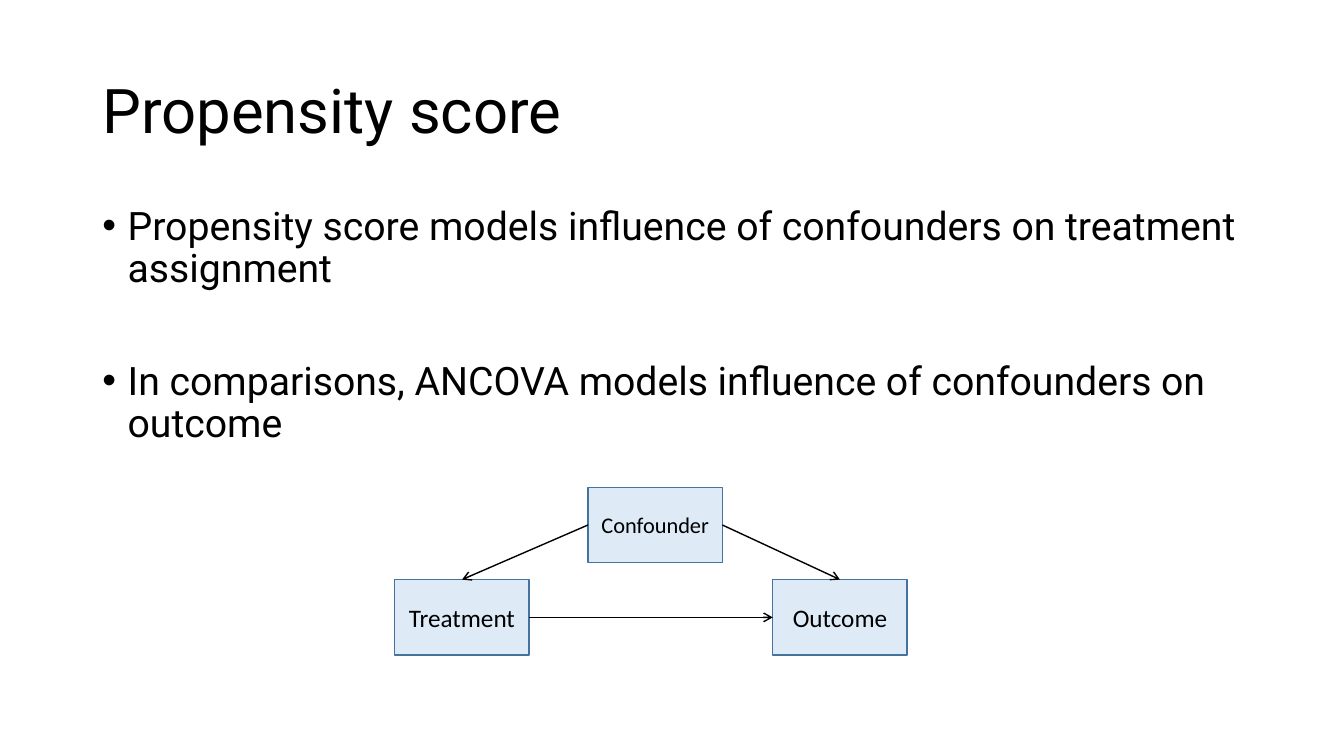
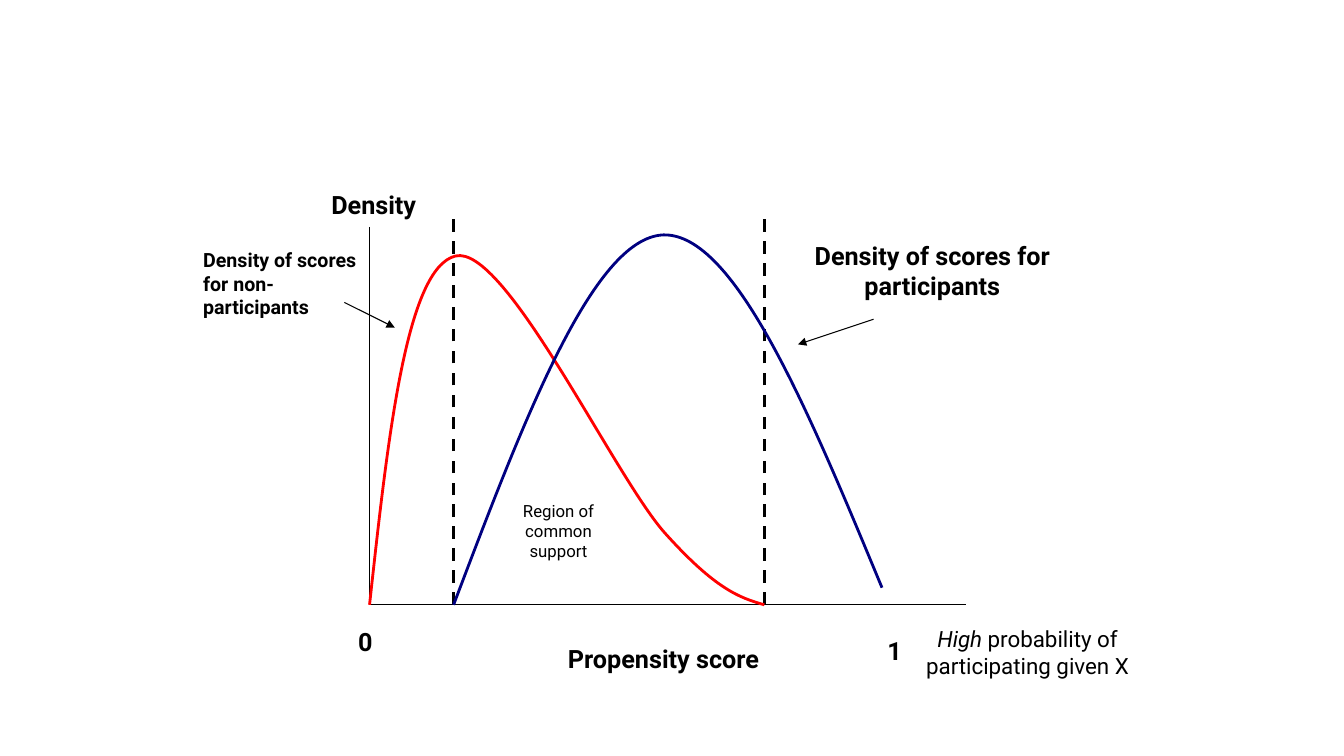
from lxml.etree import SubElement
from pptx import Presentation
from pptx.dml.color import RGBColor
from pptx.enum.dml import MSO_LINE
from pptx.enum.shapes import MSO_CONNECTOR, MSO_SHAPE
from pptx.enum.text import MSO_ANCHOR, MSO_AUTO_SIZE, PP_ALIGN
from pptx.oxml.ns import qn
from pptx.util import Pt

# Shared style
COLORS = {"text": "000000", "box": "DEEBF7", "box_line": "43739E",
          "nonparticipants": "FF0000", "participants": "000080"}
HEADING_FONT, BOX_FONT = "Roboto", "Calibri"
CENTER, LEFT = PP_ALIGN.CENTER, PP_ALIGN.LEFT
LINE_SPACING = 0.9

# Slide 1 content
TITLE = "Propensity score"
BULLETS = [
    "Propensity score models influence of confounders on treatment assignment",
    "In comparisons, ANCOVA models influence of confounders on outcome",
]
BOX_SIZE = (96, 54)
BOXES = {  # name: left, top, text size
    "Treatment": (282, 414, 18),
    "Outcome": (552, 414, 18),
    "Confounder": (420, 348, 16),
}
TOP_SIDE, LEFT_SIDE, RIGHT_SIDE = 0, 1, 3
ARROWS = [  # from box, side, to box, side
    ("Treatment", RIGHT_SIDE, "Outcome", LEFT_SIDE),
    ("Confounder", LEFT_SIDE, "Treatment", TOP_SIDE),
    ("Confounder", RIGHT_SIDE, "Outcome", TOP_SIDE),
]

# Slide 2 content
ORIGIN_X, BASELINE = 264, 432
SUPPORT_START, SUPPORT_END = 324, 546
AXES = [(ORIGIN_X, 162, ORIGIN_X, BASELINE), (ORIGIN_X, BASELINE, 690, BASELINE)]
SUPPORT_LIMITS = [(x, BASELINE, x, 150) for x in (SUPPORT_START, SUPPORT_END)]
POINTERS = [(624, 228, 570, 246), (246, 216, 282, 234)]
CURVES = {  # start point, then three Bezier points per segment
    "nonparticipants": [
        (ORIGIN_X, BASELINE),
        (277.2, 311.8), (290.2, 191.5), (325.4, 182.9),
        (360.7, 174.2), (437.8, 338.4), (474.5, 380.2),
        (511.2, 421.2), (528.5, 427), (SUPPORT_END, BASELINE)],
    "participants": [
        (SUPPORT_START, BASELINE),
        (373.7, 301), (423.4, 169.9), (473.8, 167.8),
        (524.9, 166.3), (577.4, 293), (630, 419.8)],
}
BOLD, PLAIN, ITALIC = {"bold": True}, {}, {"italic": True}
LABELS = [  # position, text size, alignment, wrap, paragraphs of runs
    ((210, 132, 114, 29), 18, CENTER, True, [[("Density", BOLD)]]),
    ((204, 444, 114, 29), 18, CENTER, True, [[("0", BOLD)]]),
    ((582, 450, 114, 29), 18, CENTER, True, [[("1", BOLD)]]),
    ((372, 456, 204, 29), 18, CENTER, True, [[("Propensity score", BOLD)]]),
    ((360, 354, 78, 51), 12, CENTER, True, [[("Region of common support", PLAIN)]]),
    ((552, 168, 228, 50.4), 18, CENTER, True,
     [[("Density of scores for participants", BOLD)]]),
    ((620, 443, 228, 46), 16, CENTER, True,
     [[("High ", ITALIC), ("probability of participating given X", PLAIN)]]),
    ((138, 173.5, 129, 58.3), 14, LEFT, False,
     [[("Density of scores", BOLD)], [("for non-", BOLD)], [("participants", BOLD)]]),
]


def color(name):
    return RGBColor.from_string(COLORS[name])


def set_values(target, values):
    for name, value in values.items():
        setattr(target, name, value)


def place(shape, *box):
    set_values(shape, dict(zip(("left", "top", "width", "height"), map(Pt, box))))


def format_font(font, size, name=HEADING_FONT, **values):
    set_values(font, {"size": Pt(size), "name": name, **values})
    font.color.rgb = color("text")


def add_line(slide, points, width, arrowhead=None, dash=None):
    line = slide.shapes.add_connector(MSO_CONNECTOR.STRAIGHT, *map(Pt, points))
    line.line.width = Pt(width)
    line.line.color.rgb = color("text")
    if dash:
        line.line.dash_style = dash
    if arrowhead:
        SubElement(line.line._get_or_add_ln(), qn("a:tailEnd"), type=arrowhead)
    SubElement(line._element.spPr, qn("a:effectLst"))
    return line


def add_curve(slide, points, color_name):
    start, *others = [(Pt(x), Pt(y)) for x, y in points]
    builder = slide.shapes.build_freeform(*start)
    builder.add_line_segments(others, close=False)
    curve = builder.convert_to_shape()
    # Turn each three straight segments into one Bezier segment
    segments = curve._element.xpath(".//a:lnTo")
    outline = segments[0].getparent()
    for first in range(0, len(segments), 3):
        bezier = SubElement(outline, qn("a:cubicBezTo"))
        for segment in segments[first:first + 3]:
            bezier.append(segment[0])
            outline.remove(segment)
    curve.shadow.inherit = False
    curve.fill.background()
    curve.line.width = Pt(2)
    curve.line.color.rgb = color(color_name)


def add_label(slide, box, size, alignment, wrap, paragraphs):
    frame = slide.shapes.add_textbox(*map(Pt, box)).text_frame
    set_values(frame, {"word_wrap": wrap, "auto_size": MSO_AUTO_SIZE.SHAPE_TO_FIT_TEXT})
    for index, runs in enumerate(paragraphs):
        paragraph = frame.add_paragraph() if index else frame.paragraphs[0]
        paragraph.alignment = alignment
        for text, style in runs:
            run = paragraph.add_run()
            run.text = text
            format_font(run.font, size, **style)


def build_confounding_slide(presentation):
    slide = presentation.slides.add_slide(presentation.slide_layouts[1])

    # Title
    title = slide.shapes.title
    place(title, 66, 28.75, 828, 104.4)
    set_values(title.text_frame, {"text": TITLE, "vertical_anchor": MSO_ANCHOR.MIDDLE,
                                  "auto_size": MSO_AUTO_SIZE.NONE})
    paragraph = title.text_frame.paragraphs[0]
    set_values(paragraph, {"alignment": LEFT, "line_spacing": LINE_SPACING})
    format_font(paragraph.font, 44)

    # Bullets
    body = slide.placeholders[1]
    place(body, 66, 144, 828, 342.6)
    set_values(body.text_frame, {"text": "\n".join(BULLETS),
                                 "auto_size": MSO_AUTO_SIZE.NONE})
    for index, paragraph in enumerate(body.text_frame.paragraphs):
        properties = paragraph._p.get_or_add_pPr()
        properties.set("marL", str(Pt(18)))
        properties.set("indent", str(-Pt(18)))
        set_values(paragraph, {"line_spacing": LINE_SPACING,
                               "space_before": Pt(50 if index else 0)})
        format_font(paragraph.font, 28)

    # Diagram
    boxes = {}
    for name, (left, top, size) in BOXES.items():
        box = slide.shapes.add_shape(MSO_SHAPE.RECTANGLE,
                                     *map(Pt, (left, top, *BOX_SIZE)))
        box.shadow.inherit = False
        box.fill.solid()
        box.fill.fore_color.rgb = color("box")
        box.line.width = Pt(1)
        box.line.color.rgb = color("box_line")
        set_values(box.text_frame, {"text": name, "word_wrap": True,
                                    "vertical_anchor": MSO_ANCHOR.MIDDLE})
        paragraph = box.text_frame.paragraphs[0]
        paragraph.alignment = CENTER
        format_font(paragraph.font, size, BOX_FONT)
        boxes[name] = box
    for source, source_side, target, target_side in ARROWS:
        arrow = add_line(slide, (0, 0, 0, 0), 1, "arrow")
        arrow.begin_connect(boxes[source], source_side)
        arrow.end_connect(boxes[target], target_side)


def build_density_slide(presentation):
    slide = presentation.slides.add_slide(presentation.slide_layouts[6])
    for points in AXES:
        add_line(slide, points, 0.75)
    for points in SUPPORT_LIMITS:
        add_line(slide, points, 2.25, dash=MSO_LINE.DASH)
    for name, points in CURVES.items():
        add_curve(slide, points, name)
    for label in LABELS:
        add_label(slide, *label)
    for points in POINTERS:
        add_line(slide, points, 0.75, "triangle")


def main():
    presentation = Presentation()
    set_values(presentation, {"slide_width": Pt(960), "slide_height": Pt(540)})
    build_confounding_slide(presentation)
    build_density_slide(presentation)
    presentation.save("out.pptx")


if __name__ == "__main__":
    main()
